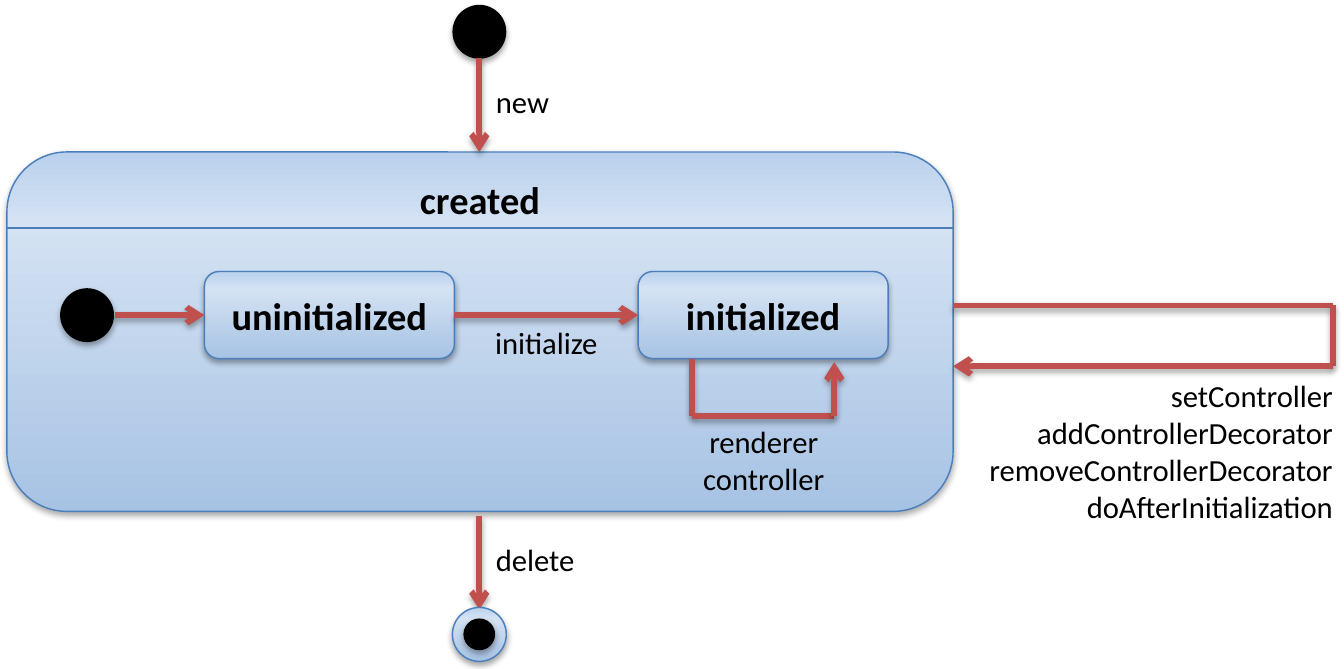
from copy import deepcopy

from lxml.etree import SubElement
from pptx import Presentation
from pptx.dml.color import RGBColor
from pptx.enum.shapes import MSO_CONNECTOR, MSO_SHAPE
from pptx.enum.text import MSO_ANCHOR, MSO_AUTO_SIZE, PP_ALIGN
from pptx.oxml.ns import qn
from pptx.util import Inches, Pt

BLACK = "000000"
OUTLINE = "4B7EBC"
ARROW = "C0504D"
GRADIENT = [(0, "A7C3E4"), (0.8, "D4E2F3"), (1, "BAD1ED")]
FONT = "Calibri"

AXIS_X = 3.47  # centre line of the new and delete transitions
ROW_Y = 2.28  # centre line of the inner states
CREATED_LEFT, CREATED_TOP = 0.05, 1.1
CREATED_WIDTH, CREATED_HEIGHT = 6.85, 2.6
CREATED_RIGHT = CREATED_LEFT + CREATED_WIDTH
STATE_WIDTH, STATE_HEIGHT = 1.81, 0.63
STATE_BOTTOM = ROW_Y + STATE_HEIGHT / 2
DOT = 0.39


def color(hex_code):
    """Turn a hex string into a colour."""
    return RGBColor.from_string(hex_code)


def add_shadow(shape):
    """Give a shape or connector a soft shadow straight below it."""
    properties = shape._element.spPr
    effects = properties.find(qn("a:effectLst"))
    if effects is None:
        effects = SubElement(properties, qn("a:effectLst"))
    shadow = SubElement(effects, qn("a:outerShdw"), blurRad="40000",
                        dist="23000", dir="5400000", rotWithShape="0")
    shade = SubElement(shadow, qn("a:srgbClr"), val=BLACK)
    SubElement(shade, qn("a:alpha"), val="35000")


def fill_gradient(shape):
    """Fill a shape with the blue gradient, running from bottom to top."""
    shape.fill.gradient()
    shape.fill.gradient_angle = 90
    stop_list = shape._element.spPr.find(".//" + qn("a:gsLst"))
    stop_list.append(deepcopy(stop_list[-1]))
    for stop, (position, hex_code) in zip(shape.fill.gradient_stops, GRADIENT):
        stop.position = position
        stop.color.rgb = color(hex_code)


def write_text(text_frame, text, size=16, bold=False, align=PP_ALIGN.CENTER,
               anchor=MSO_ANCHOR.TOP):
    """Write each line of text as one formatted paragraph."""
    text_frame.word_wrap = True
    text_frame.vertical_anchor = anchor
    for index, line in enumerate(text.split("\n")):
        paragraph = (text_frame.add_paragraph() if index
                     else text_frame.paragraphs[0])
        paragraph.alignment = align
        run = paragraph.add_run()
        run.text = line
        run.font.name = FONT
        run.font.size = Pt(size)
        run.font.bold = bold
        run.font.color.rgb = color(BLACK)


def add_node(shapes, kind, left, top, width, height, solid=None):
    """Add a shadowed shape, solid or with the outlined gradient."""
    shape = shapes.add_shape(kind, Inches(left), Inches(top),
                             Inches(width), Inches(height))
    shape.shadow.inherit = False
    if solid:
        shape.fill.solid()
        shape.fill.fore_color.rgb = color(solid)
        shape.line.fill.background()
    else:
        fill_gradient(shape)
        shape.line.color.rgb = color(OUTLINE)
        shape.line.width = Pt(0.75)
    add_shadow(shape)
    return shape


def add_state(shapes, text, left, top, width, height,
              anchor=MSO_ANCHOR.MIDDLE):
    """Add a rounded state box with its bold name."""
    state = add_node(shapes, MSO_SHAPE.ROUNDED_RECTANGLE,
                     left, top, width, height)
    write_text(state.text_frame, text, size=20, bold=True, anchor=anchor)


def add_dot(shapes, center_x, center_y, diameter=DOT, solid=BLACK):
    """Add a circle around a centre point."""
    add_node(shapes, MSO_SHAPE.OVAL, center_x - diameter / 2,
             center_y - diameter / 2, diameter, diameter, solid)


def add_line(shapes, start, end, hex_code, width):
    """Add a straight line without theme effects."""
    line = shapes.add_connector(MSO_CONNECTOR.STRAIGHT,
                                *map(Inches, start + end))
    line.line.color.rgb = color(hex_code)
    line.line.width = Pt(width)
    SubElement(line._element.spPr, qn("a:effectLst"))
    return line


def add_transition(shapes, *points):
    """Join the points with thick red lines, the last one an arrow."""
    for start, end in zip(points, points[1:]):
        line = add_line(shapes, start, end, ARROW, 3)
        add_shadow(line)
    SubElement(line.line._get_or_add_ln(), qn("a:tailEnd"), type="arrow")


def add_label(shapes, text, left, top, width, height,
              insets=(0, 0.05, 0, 0), align=PP_ALIGN.CENTER):
    """Add a transition label; insets run left, top, right, bottom."""
    box = shapes.add_textbox(Inches(left), Inches(top),
                             Inches(width), Inches(height))
    frame = box.text_frame
    (frame.margin_left, frame.margin_top,
     frame.margin_right, frame.margin_bottom) = map(Inches, insets)
    write_text(frame, text, align=align)
    frame.auto_size = MSO_AUTO_SIZE.SHAPE_TO_FIT_TEXT


def main():
    """Build the state diagram slide."""
    presentation = Presentation()
    presentation.slide_width = Inches(9.73)
    presentation.slide_height = Inches(4.84)
    slide = presentation.slides.add_slide(presentation.slide_layouts[6])
    shapes = slide.shapes

    add_state(shapes, "created", CREATED_LEFT, CREATED_TOP,
              CREATED_WIDTH, CREATED_HEIGHT, anchor=MSO_ANCHOR.TOP)
    add_line(shapes, (CREATED_LEFT, 1.65), (CREATED_RIGHT, 1.65),
             OUTLINE, 0.75)

    add_dot(shapes, AXIS_X, 0.23)
    add_dot(shapes, 0.63, ROW_Y)
    for name, left in (("uninitialized", 1.48), ("initialized", 4.62)):
        add_state(shapes, name, left, ROW_Y - STATE_HEIGHT / 2,
                  STATE_WIDTH, STATE_HEIGHT)
    for start, end in ((0.83, 1.48), (3.29, 4.62)):
        add_transition(shapes, (start, ROW_Y), (end, ROW_Y))

    inner_loop = shapes.add_group_shape().shapes
    add_transition(inner_loop, (5.01, STATE_BOTTOM), (5.01, 3.01),
                   (6.04, 3.01), (6.04, 2.62))
    add_label(inner_loop, "renderer\ncontroller", 5.01, 3.01, 1.04, 0.59)

    for text, start, end, label_top in (("new", 0.42, CREATED_TOP, 0.6),
                                        ("delete", 3.73, 4.41, 3.91)):
        add_transition(shapes, (AXIS_X, start), (AXIS_X, end))
        add_label(shapes, text, AXIS_X, label_top, 1.04, 0.31,
                  insets=(0.12, 0, 0, 0.04), align=PP_ALIGN.LEFT)

    add_dot(shapes, AXIS_X, 4.59, solid=None)
    add_dot(shapes, AXIS_X, 4.59, diameter=0.23)

    outer_loop = shapes.add_group_shape().shapes
    add_transition(outer_loop, (CREATED_RIGHT, 2.21), (9.65, 2.21),
                   (9.65, 2.65), (CREATED_RIGHT, 2.65))
    add_label(shapes, "setController\naddControllerDecorator\n"
              "removeControllerDecorator\ndoAfterInitialization",
              7.13, 2.65, 2.52, 1.2, insets=(0, 0.08, 0, 0.04),
              align=PP_ALIGN.RIGHT)
    add_label(shapes, "initialize", 3.48, 2.29, 0.95, 0.32)

    presentation.save("out.pptx")


main()
